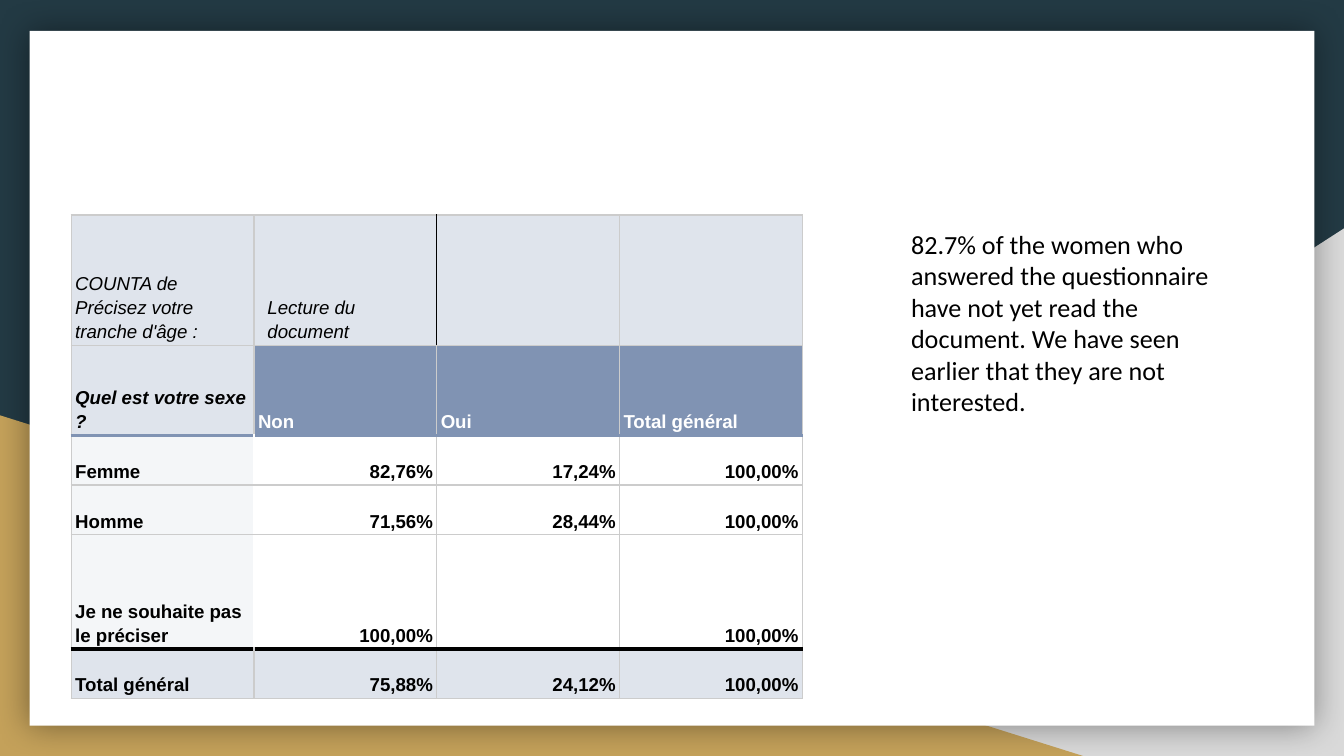
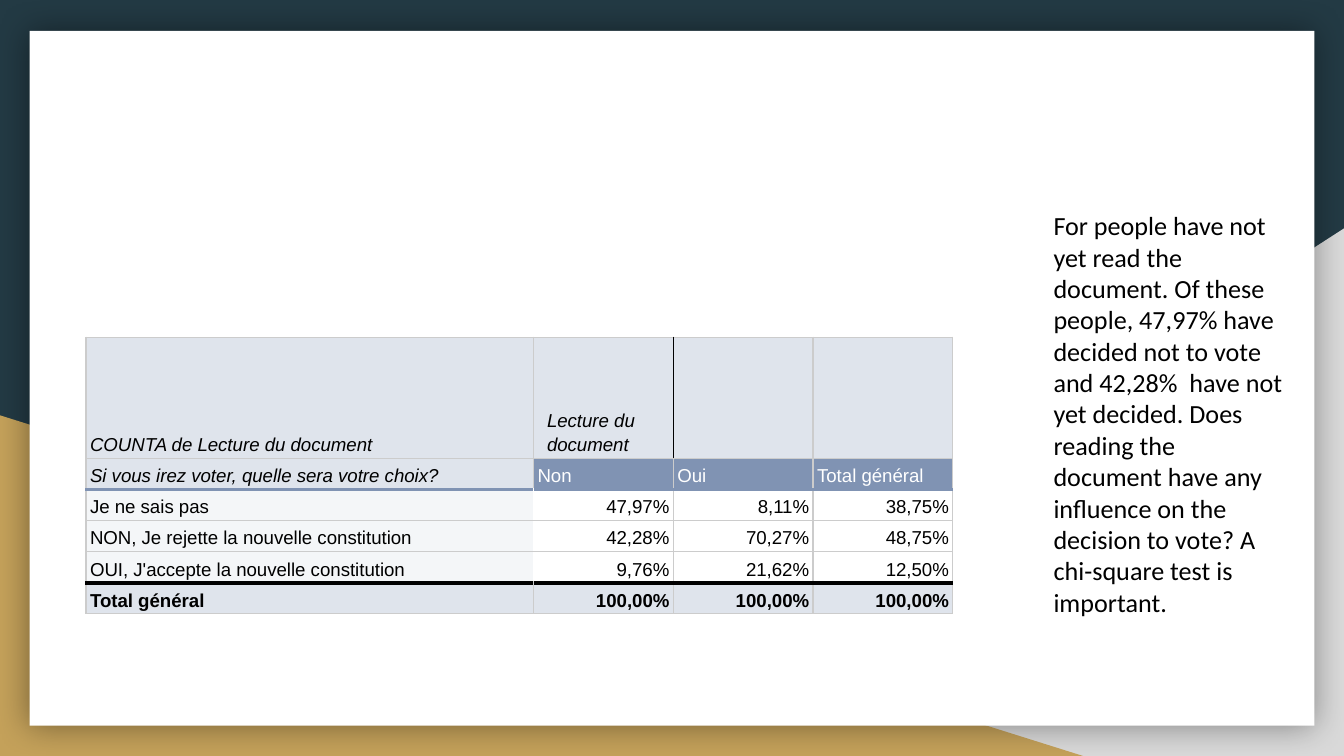
from lxml.etree import SubElement
from pptx import Presentation
from pptx.dml.color import RGBColor
from pptx.enum.shapes import MSO_SHAPE
from pptx.enum.text import MSO_ANCHOR, MSO_AUTO_SIZE, PP_ALIGN
from pptx.oxml.ns import qn
from pptx.util import Inches, Pt

NAVY = RGBColor(0x23, 0x3A, 0x44)
GREY = RGBColor(0xD9, 0xD9, 0xD9)
GOLD = RGBColor(0xC4, 0xA1, 0x5A)
WHITE = RGBColor(0xFF, 0xFF, 0xFF)
BLACK = RGBColor(0, 0, 0)
BLUE = RGBColor(0x80, 0x93, 0xB3)
PALE = RGBColor(0xDF, 0xE4, 0xEC)
LABEL = RGBColor(0xF4, 0xF6, 0xF8)
RULE = RGBColor(0xCC, 0xCC, 0xCC)

WIDTH = 10
HEIGHT = WIDTH * 9 / 16
FRAME = 3.28
HEADS = ["Non", "Oui", "Total général"]

SLIDES = [
    {
        "table_at": (0.53, 1.6),
        "cols": [1.36] * 4,
        "rows": [0.97, 0.67, 0.37, 0.37, 0.85, 0.37],
        "bold_from": 1,
        "cells": [
            ["COUNTA de Précisez votre tranche d'âge :", "Lecture du document", "", ""],
            ["Quel est votre sexe ?", *HEADS],
            ["Femme", "82,76%", "17,24%", "100,00%"],
            ["Homme", "71,56%", "28,44%", "100,00%"],
            ["Je ne souhaite pas le préciser", "100,00%", "", "100,00%"],
            ["Total général", "75,88%", "24,12%", "100,00%"],
        ],
        "note_at": (6.68, 1.6, 2.71, 1.85),
        "note": "82.7% of the women who answered the questionnaire have not yet read "
                "the document. We have seen earlier that they are not interested.",
    },
    {
        "table_at": (0.64, 2.51),
        "cols": [3.33] + [1.04] * 3,
        "rows": [0.9] + [0.22] * 5,
        "bold_from": 5,
        "cells": [
            ["COUNTA de Lecture du document", "Lecture du document", "", ""],
            ["Si vous irez voter, quelle sera votre choix?", *HEADS],
            ["Je ne sais pas", "47,97%", "8,11%", "38,75%"],
            ["NON, Je rejette la nouvelle constitution", "42,28%", "70,27%", "48,75%"],
            ["OUI, J'accepte la nouvelle constitution", "9,76%", "21,62%", "12,50%"],
            ["Total général", "100,00%", "100,00%", "100,00%"],
        ],
        "note_at": (7.74, 1.46, 1.91, 3.74),
        "note": "For people have not yet read the document. Of these people, 47,97% "
                "have decided not to vote and 42,28%  have not yet decided. Does reading "
                "the document have any influence on the decision to vote? A chi-square "
                "test is important.",
    },
]


def apply(target, formats):
    for name, value in formats.items():
        setattr(target, name, value)


def add_color(parent, color):
    fill = SubElement(parent, qn("a:solidFill"))
    SubElement(fill, qn("a:srgbClr"), val=str(color))


def add_panel(s, kind, box, color):
    sp = s.shapes.add_shape(kind, *map(Inches, box))
    sp.shadow.inherit = False
    sp.fill.solid()
    sp.fill.fore_color.rgb = color
    sp.line.fill.background()
    return sp


def add_backdrop(s):
    s.background.fill.solid()
    s.background.fill.fore_color.rgb = NAVY
    grey = add_panel(s, MSO_SHAPE.RIGHT_TRIANGLE, (3.92, 1.7, WIDTH - 3.92, HEIGHT - 1.7), GREY)
    grey._element.spPr.find(qn("a:xfrm")).set("flipH", "1")
    add_panel(s, MSO_SHAPE.RIGHT_TRIANGLE, (0, 3.09, 8.06, HEIGHT - 3.09), GOLD)
    card = add_panel(s, MSO_SHAPE.RECTANGLE, (0.22, 0.23, 9.56, 5.17), WHITE)
    effects = card._element.spPr.find(qn("a:effectLst"))
    shadow = SubElement(effects, qn("a:outerShdw"), blurRad=str(Pt(18)), dist="0",
                        algn="ctr", rotWithShape="0")
    color = SubElement(shadow, qn("a:srgbClr"), val=str(BLACK))
    SubElement(color, qn("a:alpha"), val="40000")


def cell_fill(row, col, last):
    if row in (0, last) or (row, col) == (1, 0):
        return PALE
    if row == 1:
        return BLUE
    return LABEL if col == 0 else WHITE


def edge_v(row, edge, last):
    if row == 0 and edge == 2:
        return BLACK, 0.75
    if 1 < row < last and edge == 1:
        return WHITE, 0.75
    return RULE, 0.75


def edge_h(edge, last):
    return {2: (BLUE, 2.25), last: (BLACK, 2.25)}.get(edge, (RULE, 0.75))


def set_borders(cell, row, col, last):
    tcPr = cell._tc.get_or_add_tcPr()
    edges = {
        "a:lnL": edge_v(row, col, last),
        "a:lnR": edge_v(row, col + 1, last),
        "a:lnT": edge_h(row, last),
        "a:lnB": edge_h(row + 1, last),
    }
    for tag, (color, width) in edges.items():
        add_color(SubElement(tcPr, qn(tag), w=str(Pt(width))), color)


def add_table(s, spec):
    cells, cols, rows = spec["cells"], spec["cols"], spec["rows"]
    last = len(rows) - 1
    box = (*spec["table_at"], FRAME, FRAME)
    frame = s.shapes.add_table(len(rows), len(cols), *map(Inches, box))
    table = frame.table
    apply(table, {"first_row": False, "horz_banding": False})
    for col, width in zip(table.columns, cols):
        col.width = Inches(width)
    for row, height in zip(table.rows, rows):
        row.height = Inches(height)
    apply(frame, {"width": Inches(FRAME), "height": Inches(FRAME)})
    for i, texts in enumerate(cells):
        for j, text in enumerate(texts):
            cell = table.cell(i, j)
            set_borders(cell, i, j, last)
            cell.fill.solid()
            cell.fill.fore_color.rgb = cell_fill(i, j, last)
            side = Inches(0.1 if (i, j) == (0, 1) else 0.03)
            apply(cell, {"vertical_anchor": MSO_ANCHOR.BOTTOM,
                         "margin_left": side, "margin_right": side,
                         "margin_top": Inches(0.02), "margin_bottom": Inches(0.02)})
            if not text:
                continue
            p = cell.text_frame.paragraphs[0]
            apply(p, {"line_spacing": 1.15,
                      "alignment": PP_ALIGN.RIGHT if i > 1 and j else PP_ALIGN.LEFT})
            r = p.add_run()
            r.text = text
            apply(r.font, {"name": "Arial", "size": Pt(10),
                           "bold": i >= spec["bold_from"],
                           "italic": i == 0 or (i, j) == (1, 0)})
            r.font.color.rgb = WHITE if i == 1 and j else BLACK


def add_note(s, spec):
    tf = s.shapes.add_textbox(*map(Inches, spec["note_at"])).text_frame
    apply(tf, {"word_wrap": True, "auto_size": MSO_AUTO_SIZE.SHAPE_TO_FIT_TEXT})
    apply(tf, {f"margin_{side}": Inches(0.1) for side in ("left", "top", "right", "bottom")})
    r = tf.paragraphs[0].add_run()
    r.text = spec["note"]
    apply(r.font, {"name": "Calibri", "size": Pt(14)})
    r.font.color.rgb = BLACK


def main():
    prs = Presentation()
    apply(prs, {"slide_width": Inches(WIDTH), "slide_height": Inches(HEIGHT)})
    for content in SLIDES:
        s = prs.slides.add_slide(prs.slide_layouts[6])
        add_backdrop(s)
        add_table(s, content)
        add_note(s, content)
    prs.save("out.pptx")


if __name__ == "__main__":
    main()
